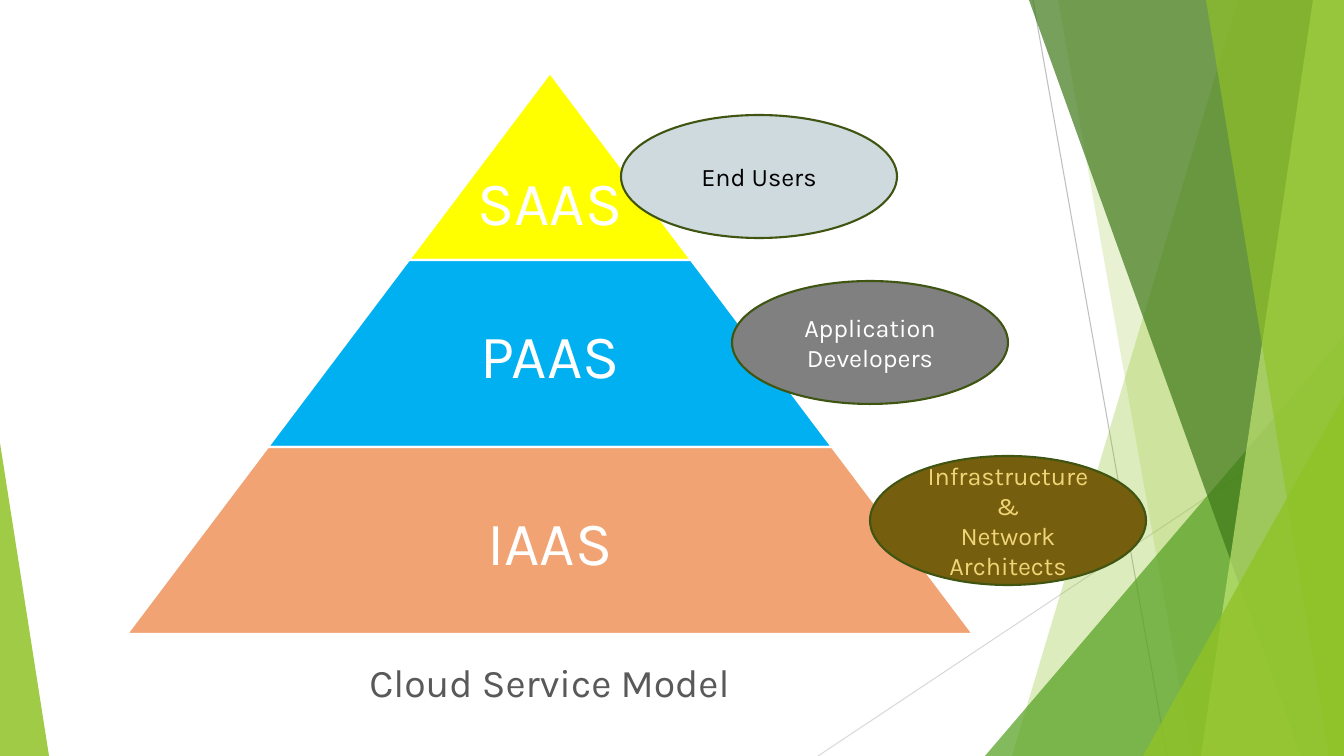
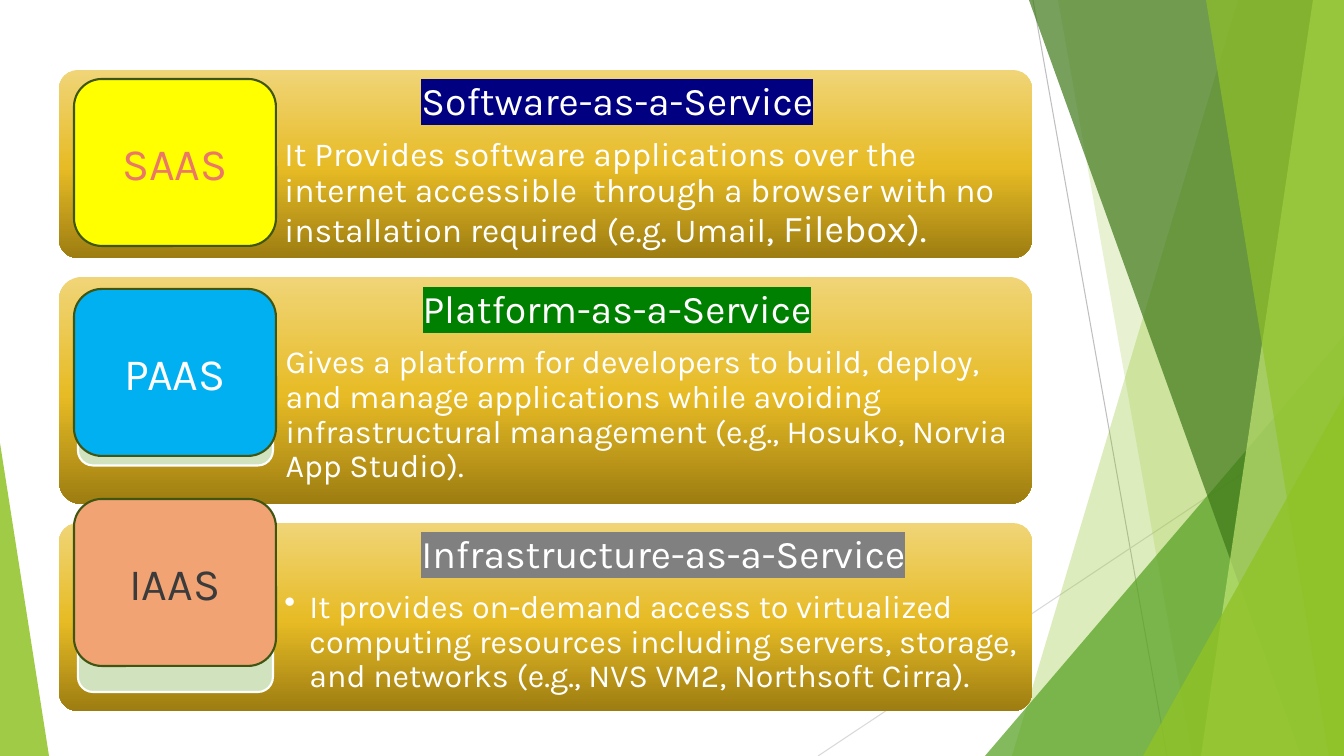
from copy import deepcopy

from lxml import etree
from pptx import Presentation
from pptx.dml.color import RGBColor
from pptx.enum.shapes import MSO_CONNECTOR, MSO_SHAPE as SHAPE
from pptx.enum.text import MSO_ANCHOR as ANCHOR, MSO_AUTO_SIZE, PP_ALIGN as ALIGN
from pptx.oxml.ns import qn
from pptx.util import Pt

PX = 914400 / 100.8
WIDTH, HEIGHT = 1344, 756
FONT = "Karla"
WHITE, LEAF, OUTLINE, CARD = "FFFFFF", "90C226", "3F5511", "D1E3BE"
YELLOW, BLUE, ORANGE = "FFFF00", "00B0F0", "F1A374"
GOLD = [(0, "F0D578"), (0.52, "E7BB25"), (1, "9D7D11")]
TITLE_ONLY, BLANK = 5, 6


def px(n):
    return round(n * PX)


def rgb(color):
    return RGBColor.from_string(color)


class Deck:
    """Holds the style and the slide being drawn."""

    def __init__(self):
        self.prs = Presentation()
        self.prs.slide_width, self.prs.slide_height = px(WIDTH), px(HEIGHT)
        self.s = None

    def new_slide(self, layout):
        self.s = self.prs.slides.add_slide(self.prs.slide_layouts[layout])

    def paint(self, sp, fill, line=None, alpha=None):
        sp.shadow.inherit = False
        if isinstance(fill, list):
            self.gradient(sp, fill)
        else:
            sp.fill.solid()
            sp.fill.fore_color.rgb = rgb(fill)
        if alpha:
            clr = sp.element.spPr.find(".//" + qn("a:srgbClr"))
            etree.SubElement(clr, qn("a:alpha")).set("val", str(alpha * 1000))
        if line:
            sp.line.color.rgb = rgb(line)
            sp.line.width = Pt(1.5)
        else:
            sp.line.fill.background()

    def gradient(self, sp, stops):
        """Fill from top to bottom with three stops."""
        sp.fill.gradient()
        sp.fill.gradient_angle = 270
        stop_list = sp.element.spPr.find(".//" + qn("a:gsLst"))
        stop_list.insert(1, deepcopy(stop_list[0]))
        for stop, (position, color) in zip(sp.fill.gradient_stops, stops):
            stop.position = position
            stop.color.rgb = rgb(color)

    def shape(self, kind, x, y, w, h, fill, line=None, adj=None, alpha=None):
        sp = self.s.shapes.add_shape(kind, px(x), px(y), px(w), px(h))
        if adj is not None:
            sp.adjustments[0] = adj
        self.paint(sp, fill, line, alpha)
        return sp

    def band(self, top, bottom, fill, alpha):
        """Full-height band from a slanted left edge to the right side."""
        builder = self.s.shapes.build_freeform(top, 0, scale=PX)
        builder.add_line_segments([(WIDTH, 0), (WIDTH, HEIGHT), (bottom, HEIGHT)])
        self.paint(builder.convert_to_shape(), fill, alpha=alpha)

    def line(self, x1, y1, x2, y2, color):
        c = self.s.shapes.add_connector(
            MSO_CONNECTOR.STRAIGHT, px(x1), px(y1), px(x2), px(y2))
        c.line.color.rgb = rgb(color)
        c.line.width = Pt(0.75)
        etree.SubElement(c.element.spPr, qn("a:effectLst"))

    def frame(self, sp, anchor=ANCHOR.MIDDLE, wrap=True, insets=None):
        tf = sp.text_frame
        tf.auto_size = MSO_AUTO_SIZE.NONE
        tf.word_wrap = wrap
        tf.vertical_anchor = anchor
        if insets:
            (tf.margin_left, tf.margin_top,
             tf.margin_right, tf.margin_bottom) = map(px, insets)
        return tf

    def style(self, p, size, color, align=ALIGN.CENTER):
        p.alignment = align
        p.font.name, p.font.size = FONT, Pt(size)
        p.font.color.rgb = rgb(color)

    def label(self, sp, lines, size, color, **frame):
        tf = self.frame(sp, **frame)
        tf.text = lines
        for p in tf.paragraphs:
            self.style(p, size, color)

    def title(self, text, x, y, w, h):
        sp = self.s.shapes.title
        sp.left, sp.top, sp.width, sp.height = map(px, (x, y, w, h))
        self.label(sp, text, 28, "595959")

    def highlight(self, r, color):
        mark = etree.SubElement(r.font._element, qn("a:highlight"))
        etree.SubElement(mark, qn("a:srgbClr")).set("val", color)

    def indent(self, p, left, hanging=0, bullet=None):
        pPr = p._p.get_or_add_pPr()
        pPr.set("marL", str(px(left)))
        pPr.set("indent", str(-px(hanging)))
        if bullet:
            mark = etree.Element(qn("a:buChar"), char=bullet)
            pPr.insert_element_before(mark, "a:tabLst", "a:defRPr", "a:extLst")

    def description(self, sp, heading, mark, body, size, tail, bullet):
        """Highlighted heading with a body text, right of the badge."""
        tf = self.frame(sp, ANCHOR.TOP, insets=(220, 6, 6, 6))
        p = tf.paragraphs[0]
        self.style(p, 28, WHITE, ALIGN.LEFT)
        self.indent(p, 137)
        p.line_spacing, p.space_after = 0.9, Pt(9.8)
        r = p.add_run()
        r.text = heading
        self.highlight(r, mark)

        p = tf.add_paragraph()
        self.style(p, size, WHITE, ALIGN.LEFT)
        p.line_spacing = 0.9
        if bullet:
            self.indent(p, 25, 25, bullet)
        p.add_run().text = body
        if tail:
            r = p.add_run()
            r.text = tail
            r.font.size = Pt(27)

    def backdrop(self):
        """Draw the green facets and move them to the slide master."""
        tree, master = self.s.shapes.element, self.prs.slide_master.shapes.element
        before = set(tree)
        self.line(1033, 0, 1167, HEIGHT, "BFBFBF")
        self.line(WIDTH, 406, 818, HEIGHT, "D9D9D9")
        self.band(1238, 1012, LEAF, 30)
        self.band(1058, 1192, LEAF, 20)
        self.facet(985, 336, 359, "54A021", 72)
        self.band(1029, 1301, "3F7819", 70)
        self.band(1313, 1201, "C0E474", 70)
        self.band(1206, 1329, LEAF, 65)
        self.facet(1143, 396, 201, LEAF, 80)
        self.facet(0, 443, 49, LEAF, 85, apex=0)
        facets = [el for el in tree if el not in before]
        for number, el in enumerate(facets, 101):
            el.xpath(".//p:cNvPr")[0].set("id", str(number))
            master.append(el)

    def facet(self, x, y, w, fill, alpha, apex=1):
        self.shape(SHAPE.ISOSCELES_TRIANGLE, x, y, w, HEIGHT - y, fill,
                   adj=apex, alpha=alpha)


def pyramid_slide(deck):
    deck.new_slide(TITLE_ONLY)
    deck.backdrop()
    deck.title("Cloud Service Model", 126, 654, 847, 55)

    center, top, tier_h, slope = 550, 73, 187, 141
    tiers = [("SAAS", YELLOW), ("PAAS", BLUE), ("IAAS", ORANGE)]
    for i, (name, fill) in enumerate(tiers):
        half = slope * (i + 1)
        sp = deck.shape(SHAPE.TRAPEZOID, center - half, top + i * tier_h,
                        2 * half, tier_h, fill, WHITE, adj=slope / tier_h)
        # A trapezoid lowers its text area; the bottom inset centres it again.
        insets = (0, 0, 0, tier_h / (3 * (i + 1))) if i else (0, 7, 0, 0)
        deck.label(sp, name, 44, WHITE, wrap=False, insets=insets)

    audiences = [
        ("End Users", 621, 115, 123, "CFDADF", "000000"),
        ("Application\nDevelopers", 732, 281, 123, "808080", WHITE),
        ("Infrastructure &\nNetwork Architects", 870, 456, 129, "755E0D", "F0D578"),
    ]
    for text, x, y, h, fill, color in audiences:
        sp = deck.shape(SHAPE.OVAL, x, y, 276, h, fill, OUTLINE)
        deck.label(sp, text, 18, color)


def services_slide(deck):
    deck.new_slide(BLANK)
    services = [
        ("SAAS", YELLOW, "EB7766", 188, "Software-as-a-Service", "000080",
         "It Provides software applications over the internet accessible "
         " through a browser with no installation required (e.g. Umail",
         24, ", Filebox).", None),
        ("PAAS", BLUE, WHITE, 227, "Platform-as-a-Service", "008000",
         "Gives a platform for developers to build, deploy, and manage "
         "applications while avoiding infrastructural management "
         "(e.g., Hosuko, Norvia App Studio).", 23, None, None),
        ("IAAS", ORANGE, "3B3B3B", 188, "Infrastructure-as-a-Service", "808080",
         "It provides on-demand access to virtualized computing resources "
         "including servers, storage, and networks "
         "(e.g., NVS VM2, Northsoft Cirra).", 23, None, "•"),
    ]
    y, gap, card_h = 70, 19, 150
    for i, (name, fill, color, h, *texts) in enumerate(services):
        panel = deck.shape(SHAPE.ROUNDED_RECTANGLE, 59, y, 973, h, GOLD, adj=0.1)
        deck.description(panel, *texts)
        if i:
            deck.shape(SHAPE.ROUNDED_RECTANGLE, 78, y + (h - card_h) / 2, 195,
                       card_h, CARD, WHITE, adj=0.1)
        badge = deck.shape(SHAPE.ROUNDED_RECTANGLE, 74, 79 + 210 * i, 202, 167,
                           fill, OUTLINE)
        deck.label(badge, name, 32, color)
        y += h + gap


def main():
    deck = Deck()
    pyramid_slide(deck)
    services_slide(deck)
    deck.prs.save("out.pptx")


if __name__ == "__main__":
    main()
